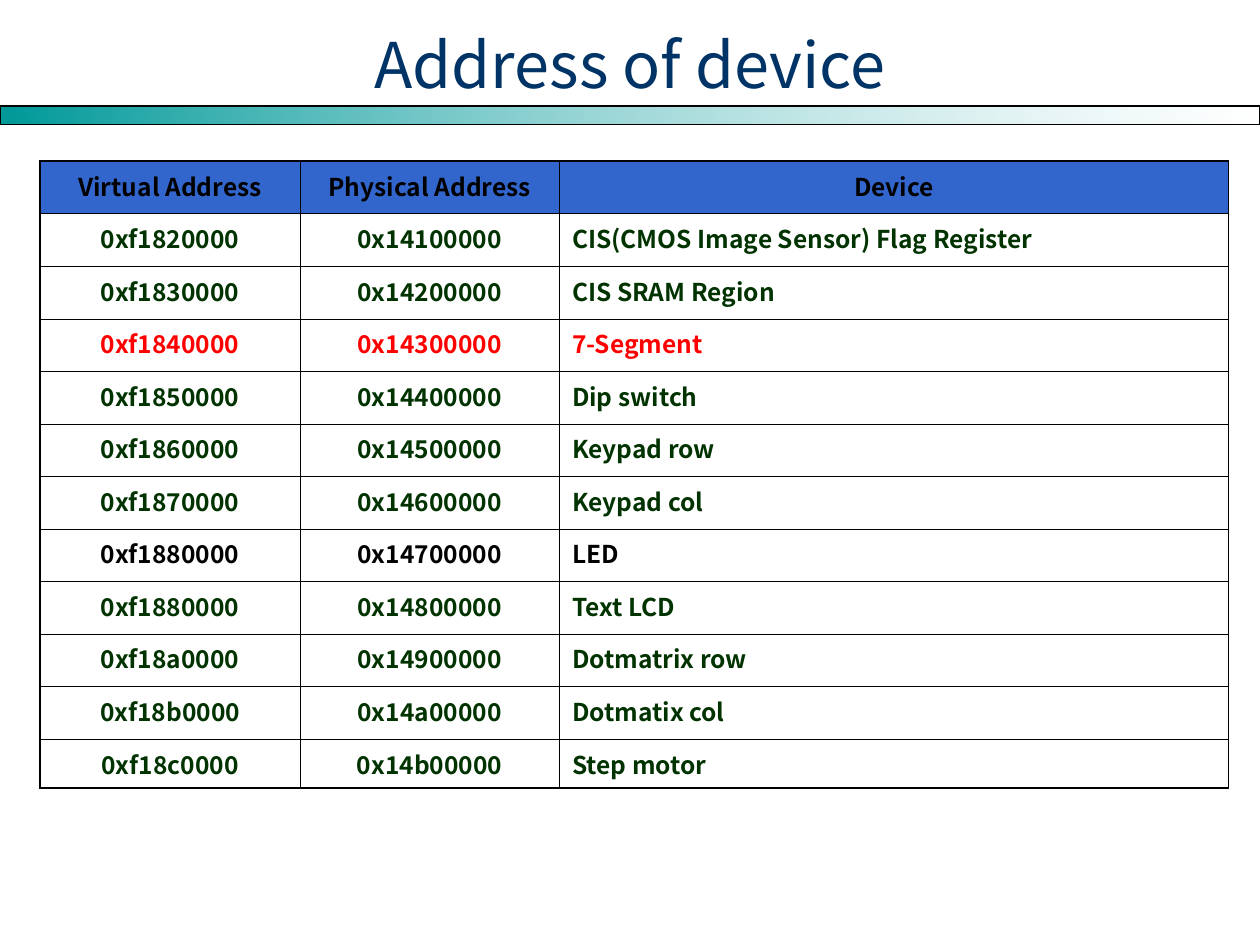
from lxml import etree
from pptx import Presentation
from pptx import util as u
from pptx.dml.color import RGBColor
from pptx.enum import shapes, text
from pptx.oxml import ns

FONT = "Noto Sans CJK KR"
COLORS = {
    "title": "003366",
    "bar": "009999",
    "bar_end": "85CDCD",
    "line": "000000",
    "header": "3366CC",
    "body": "003300",
    "alert": "FF0000",
    "plain": "000000",
}
THIN, THICK = 0.45, 1.08

HEADER = ("Virtual Address", "Physical Address", "Device")
DEVICES = [
    ("0xf1820000", "0x14100000", "CIS(CMOS Image Sensor) Flag Register"),
    ("0xf1830000", "0x14200000", "CIS SRAM Region"),
    ("0xf1840000", "0x14300000", "7-Segment"),
    ("0xf1850000", "0x14400000", "Dip switch"),
    ("0xf1860000", "0x14500000", "Keypad row"),
    ("0xf1870000", "0x14600000", "Keypad col"),
    ("0xf1880000", "0x14700000", "LED"),
    ("0xf1880000", "0x14800000", "Text LCD"),
    ("0xf18a0000", "0x14900000", "Dotmatrix row"),
    ("0xf18b0000", "0x14a00000", "Dotmatix col"),
    ("0xf18c0000", "0x14b00000", "Step motor"),
]
ROW_COLORS = {"7-Segment": "alert", "LED": "plain", "Device": "plain"}
COLUMN_WIDTHS = (2.06, 2.06, 5.31)
TABLE_HEIGHT, LAST_ROW_HEIGHT = 4.98, 0.39


def color(name):
    return RGBColor.from_string(COLORS[name])


def style_paragraph(paragraph, size, color_name, centered=True, bold=False):
    paragraph.alignment = text.PP_ALIGN.CENTER if centered else text.PP_ALIGN.LEFT
    paragraph.font.name = FONT
    paragraph.font.size = u.Pt(size)
    paragraph.font.bold = bold
    paragraph.font.color.rgb = color(color_name)


def add_bar(slide):
    bar = slide.shapes.add_shape(
        shapes.MSO_SHAPE.RECTANGLE,
        u.Inches(0), u.Inches(0.84), u.Inches(10), u.Inches(0.15))
    bar.shadow.inherit = False
    bar.fill.gradient()
    bar.fill.gradient_angle = 180
    for stop, name in zip(bar.fill.gradient_stops, ("bar_end", "bar")):
        stop.color.rgb = color(name)
    # The right end fades out completely
    faded = next(bar._element.iter(ns.qn("a:srgbClr")))
    etree.SubElement(faded, ns.qn("a:alpha"), val="0")
    bar.line.color.rgb = color("line")
    bar.line.width = u.Pt(0.75)


def add_title(slide, title):
    box = slide.shapes.add_textbox(
        u.Inches(0.12), u.Inches(0.2), u.Inches(9.76), u.Inches(0.61))
    frame = box.text_frame
    frame.word_wrap = True
    frame.vertical_anchor = text.MSO_ANCHOR.MIDDLE
    frame.text = title
    style_paragraph(frame.paragraphs[0], 36, "title")


def set_borders(cell, widths):
    properties = cell._tc.get_or_add_tcPr()
    for side, width in widths.items():
        line = etree.SubElement(properties, ns.qn(f"a:ln{side}"), w=str(u.Pt(width)))
        fill = etree.SubElement(line, ns.qn("a:solidFill"))
        etree.SubElement(fill, ns.qn("a:srgbClr"), val=COLORS["line"])


def add_address_table(slide):
    rows = [HEADER] + DEVICES
    last_row, last_column = len(rows) - 1, len(HEADER) - 1
    table = slide.shapes.add_table(
        len(rows), len(HEADER), u.Inches(0.32), u.Inches(1.28),
        u.Inches(sum(COLUMN_WIDTHS)), u.Inches(TABLE_HEIGHT)).table
    table.first_row = table.horz_banding = False

    # Equal rows, with a shorter last one
    for column, width in zip(table.columns, COLUMN_WIDTHS):
        column.width = u.Inches(width)
    for row in table.rows:
        row.height = u.Inches((TABLE_HEIGHT - LAST_ROW_HEIGHT) / last_row)
    table.rows[last_row].height = u.Inches(LAST_ROW_HEIGHT)

    for i, values in enumerate(rows):
        color_name = ROW_COLORS.get(values[-1], "body")
        for j, value in enumerate(values):
            cell = table.cell(i, j)
            cell.text = value
            paragraph = cell.text_frame.paragraphs[0]
            paragraph.space_before = u.Pt(3.5)
            centered = i == 0 or j < last_column
            style_paragraph(paragraph, 14, color_name, centered, bold=True)
            # Thick outer frame, thin inner grid
            set_borders(cell, {
                "L": THICK if j == 0 else THIN,
                "R": THICK if j == last_column else THIN,
                "T": THICK if i == 0 else THIN,
                "B": THICK if i == last_row else THIN,
            })
            if i == 0:
                cell.fill.solid()
                cell.fill.fore_color.rgb = color("header")
            else:
                cell.fill.background()


def main():
    presentation = Presentation()
    presentation.slide_width = u.Inches(10)
    presentation.slide_height = u.Inches(7.5)
    slide = presentation.slides.add_slide(presentation.slide_layouts[6])
    add_bar(slide)
    add_title(slide, "Address of device")
    add_address_table(slide)
    presentation.save("out.pptx")


if __name__ == "__main__":
    main()
